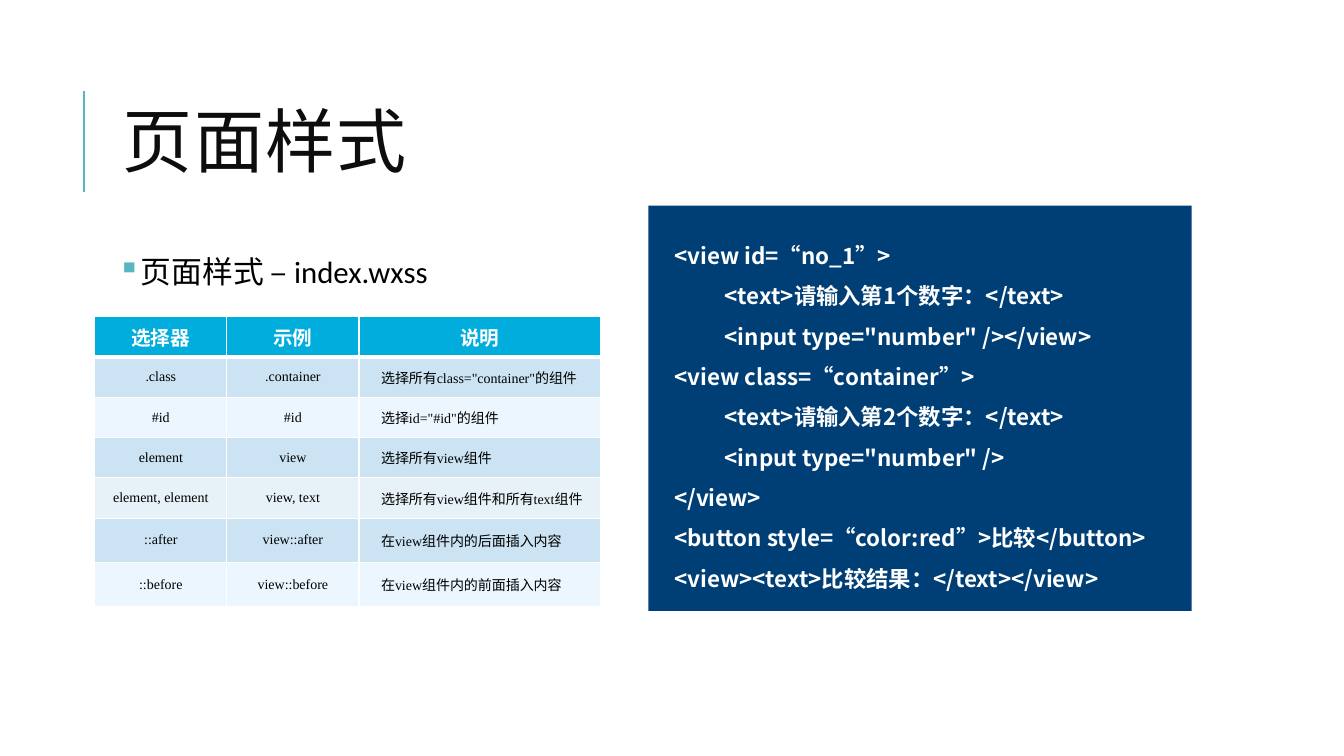
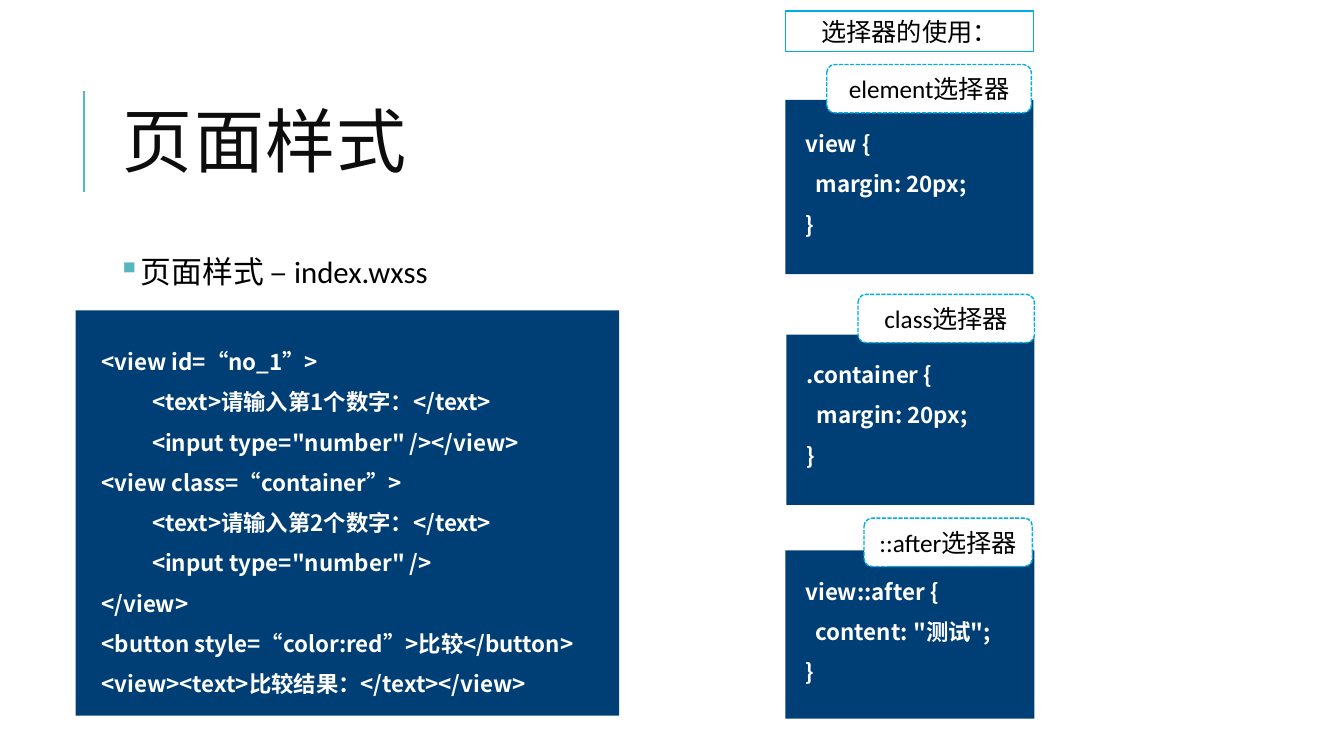
from dataclasses import dataclass

import lxml.etree
import pptx
import pptx.dml.color
import pptx.enum.dml
import pptx.enum.shapes
import pptx.enum.text
import pptx.oxml
import pptx.oxml.ns
import pptx.util

Inches = pptx.util.Inches
Pt = pptx.util.Pt
RGB = pptx.dml.color.RGBColor.from_string
qn = pptx.oxml.ns.qn
SHAPE = pptx.enum.shapes.MSO_SHAPE
ALIGN = pptx.enum.text.PP_ALIGN
MIDDLE = pptx.enum.text.MSO_ANCHOR.MIDDLE


@dataclass(frozen=True)
class Theme:
    heading_font: str = "Calibri"
    code_font: str = "Noto Sans CJK SC"
    table_font: str = "Times New Roman"
    east_asian_font: str = "Noto Sans CJK SC"
    accent: str = "58B6C0"
    title: str = "0D0D0D"
    ink: str = "000000"
    white: str = "FFFFFF"
    panel: str = "003F75"
    label_line: str = "00ACE6"
    header: str = "00ADDC"
    bands: tuple = ("CBE3F3", "ECF6FE", "CBE3F3", "E7F1F8", "CBE3F3", "ECF6FE")
    title_size: int = 50
    body_size: int = 22
    label_size: int = 18
    code_size: int = 16
    header_size: int = 14
    cell_size: int = 10
    code_pitch: float = 28.8


theme = Theme()


def add_run(paragraph, text, font, size, color, bold=False):
    run = paragraph.add_run()
    run.text = text
    run.font.name = font
    run.font.size = Pt(size)
    run.font.bold = bold
    run.font.color.rgb = RGB(color)
    east_asian = lxml.etree.SubElement(run.font._element, qn("a:ea"))
    east_asian.set("typeface", theme.east_asian_font)
    return run


def add_code_panel(slide, box, text_offset, extra_width, lines):
    """Add a dark panel and its code; each line is (indent in inches, text)."""
    left, top, width, height = box
    group = slide.shapes.add_group_shape()
    panel = group.shapes.add_shape(SHAPE.RECTANGLE, *map(Inches, box))
    panel.shadow.inherit = False
    panel.fill.solid()
    panel.fill.fore_color.rgb = RGB(theme.panel)
    panel.line.fill.background()

    code = group.shapes.add_textbox(
        Inches(left + text_offset[0]), Inches(top + text_offset[1]),
        Inches(width + extra_width), Inches(0.4 * len(lines) + 0.1)).text_frame
    code.word_wrap = True
    for number, (indent, text) in enumerate(lines):
        paragraph = code.add_paragraph() if number else code.paragraphs[0]
        paragraph.line_spacing = Pt(theme.code_pitch)
        if indent:
            paragraph._p.get_or_add_pPr().set("marL", str(Inches(indent)))
        add_run(paragraph, text, theme.code_font, theme.code_size, theme.white, True)


page_code = [
    (0, "<view id=“no_1”>"),
    (0.5, "<text>请输入第1个数字：</text>"),
    (0.5, '<input type="number" /></view>'),
    (0, "<view class=“container”>"),
    (0.5, "<text>请输入第2个数字：</text>"),
    (0.5, '<input type="number" />'),
    (0, "</view>"),
    (0, "<button style=“color:red”>比较</button>"),
    (0, "<view><text>比较结果：</text></view>"),
]
selectors = [
    ("选择器", "示例", "说明"),
    (".class", ".container", '选择所有class="container"的组件'),
    ("#id", "#id", '选择id="#id"的组件'),
    ("element", "view", "选择所有view组件"),
    ("element, element", "view, text", "选择所有view组件和所有text组件"),
    ("::after", "view::after", "在view组件内的后面插入内容"),
    ("::before", "view::before", "在view组件内的前面插入内容"),
]
# Panel box, code offset, code lines
rules = [
    ((7.79, 0.99, 2.46, 1.73), (0.1, 0.12), ("view {", "  margin: 20px;", "}")),
    ((7.8, 3.32, 2.46, 1.69), (0.1, 0.08), (".container {", "  margin: 20px;", "}")),
    ((7.79, 5.46, 2.47, 1.67), (0.1, 0.09), ("view::after {", '  content: "测试";', "}")),
]
# Outline, dashed, box, text
labels = [
    (SHAPE.RECTANGLE, False, (7.79, 0.11, 2.46, 0.4), "选择器的使用："),
    (SHAPE.ROUNDED_RECTANGLE, True, (8.2, 0.64, 2.03, 0.48), "element选择器"),
    (SHAPE.ROUNDED_RECTANGLE, True, (8.51, 2.92, 1.75, 0.48), "class选择器"),
    (SHAPE.ROUNDED_RECTANGLE, True, (8.57, 5.14, 1.67, 0.48), "::after选择器"),
]

deck = pptx.Presentation()
deck.slide_width = Inches(13.33)
deck.slide_height = Inches(7.5)

# Title, accent line and topic on both slides
for _ in range(2):
    slide = deck.slides.add_slide(deck.slide_layouts[6])
    accent = slide.shapes.add_connector(
        pptx.enum.shapes.MSO_CONNECTOR.STRAIGHT,
        Inches(0.83), Inches(1.9), Inches(0.83), Inches(0.9))
    accent.line.color.rgb = RGB(theme.accent)
    accent.line.width = Pt(1.5)
    lxml.etree.SubElement(accent._element.spPr, qn("a:effectLst"))

    title = slide.shapes.add_textbox(
        Inches(1.12), Inches(0.64), Inches(10.63), Inches(1.64)).text_frame
    title.word_wrap = True
    title.vertical_anchor = MIDDLE
    title.paragraphs[0].line_spacing = 0.8
    title_run = add_run(title.paragraphs[0], "页面样式", theme.heading_font,
                        theme.title_size, theme.title)
    title_run.font._element.set("spc", "100")

    topic = slide.shapes.add_textbox(
        Inches(1.12), Inches(2.5), Inches(4.68), Inches(0.46)).text_frame
    topic.word_wrap = True
    topic.margin_left = topic.margin_right = Inches(0.05)
    paragraph = topic.paragraphs[0]
    paragraph.line_spacing = 0.9
    paragraph.space_after = Pt(2)
    properties = paragraph._p.get_or_add_pPr()
    properties.set("marL", str(Inches(0.1)))
    properties.set("indent", str(Inches(-0.1)))
    bullet_color = lxml.etree.SubElement(properties, qn("a:buClr"))
    lxml.etree.SubElement(bullet_color, qn("a:srgbClr")).set("val", theme.accent)
    lxml.etree.SubElement(properties, qn("a:buChar")).set("char", "▪")
    add_run(paragraph, "页面样式 – index.wxss", theme.heading_font,
            theme.body_size, theme.ink)

table_slide, usage_slide = deck.slides

# Slide 1: selector table beside the page code
column_widths = (1.31, 1.31, 2.4)
row_heights = (0.4, 0.4, 0.4, 0.4, 0.4, 0.44, 0.44)
table = table_slide.shapes.add_table(
    len(selectors), len(column_widths), Inches(0.94), Inches(3.14),
    Inches(sum(column_widths)), Inches(sum(row_heights))).table
for column, width in zip(table.columns, column_widths):
    column.width = Inches(width)
for row, height in zip(table.rows, row_heights):
    row.height = Inches(height)

for row_number, texts in enumerate(selectors):
    is_header = row_number == 0
    for column_number, text in enumerate(texts):
        cell = table.cell(row_number, column_number)
        cell.vertical_anchor = MIDDLE
        cell.margin_left = cell.margin_right = Inches(0.07)
        cell.margin_top = cell.margin_bottom = 0
        for side in "LRTB":
            thick = (side == "B" and is_header) or (side == "T" and row_number == 1)
            border = lxml.etree.SubElement(
                cell._tc.get_or_add_tcPr(), qn(f"a:ln{side}"), w=str(Pt(3 if thick else 1)))
            border_fill = lxml.etree.SubElement(border, qn("a:solidFill"))
            lxml.etree.SubElement(border_fill, qn("a:srgbClr"), val=theme.white)
        cell.fill.solid()
        cell.fill.fore_color.rgb = RGB(
            theme.header if is_header else theme.bands[row_number - 1])
        paragraph = cell.text_frame.paragraphs[0]
        paragraph.alignment = ALIGN.CENTER
        if column_number == 2 and not is_header:
            paragraph.alignment = ALIGN.JUSTIFY
            paragraph._p.get_or_add_pPr().set("marL", str(Inches(0.15)))
        add_run(paragraph, text, theme.table_font,
                theme.header_size if is_header else theme.cell_size,
                theme.white if is_header else theme.ink, is_header)

add_code_panel(table_slide, (6.43, 2.04, 5.39, 4.02), (0.16, 0.18), 0.14, page_code)

# Slide 2: page code beside three selector rules
add_code_panel(usage_slide, (0.75, 3.08, 5.39, 4.02), (0.16, 0.19), 0.14, page_code)
for box, text_offset, rule in rules:
    add_code_panel(usage_slide, box, text_offset, 0.08, [(0, line) for line in rule])

for outline, dashed, box, text in labels:
    label = usage_slide.shapes.add_shape(outline, *map(Inches, box))
    label.shadow.inherit = False
    label.fill.solid()
    label.fill.fore_color.rgb = RGB(theme.white)
    label.line.color.rgb = RGB(theme.label_line)
    label.line.width = Pt(1)
    if dashed:
        label.line.dash_style = pptx.enum.dml.MSO_LINE.SQUARE_DOT
    frame = label.text_frame
    frame.word_wrap = True
    frame.vertical_anchor = MIDDLE
    frame.margin_top = frame.margin_bottom = 0
    frame.paragraphs[0].alignment = ALIGN.CENTER
    add_run(frame.paragraphs[0], text, theme.heading_font, theme.label_size, theme.ink)

deck.save("out.pptx")
